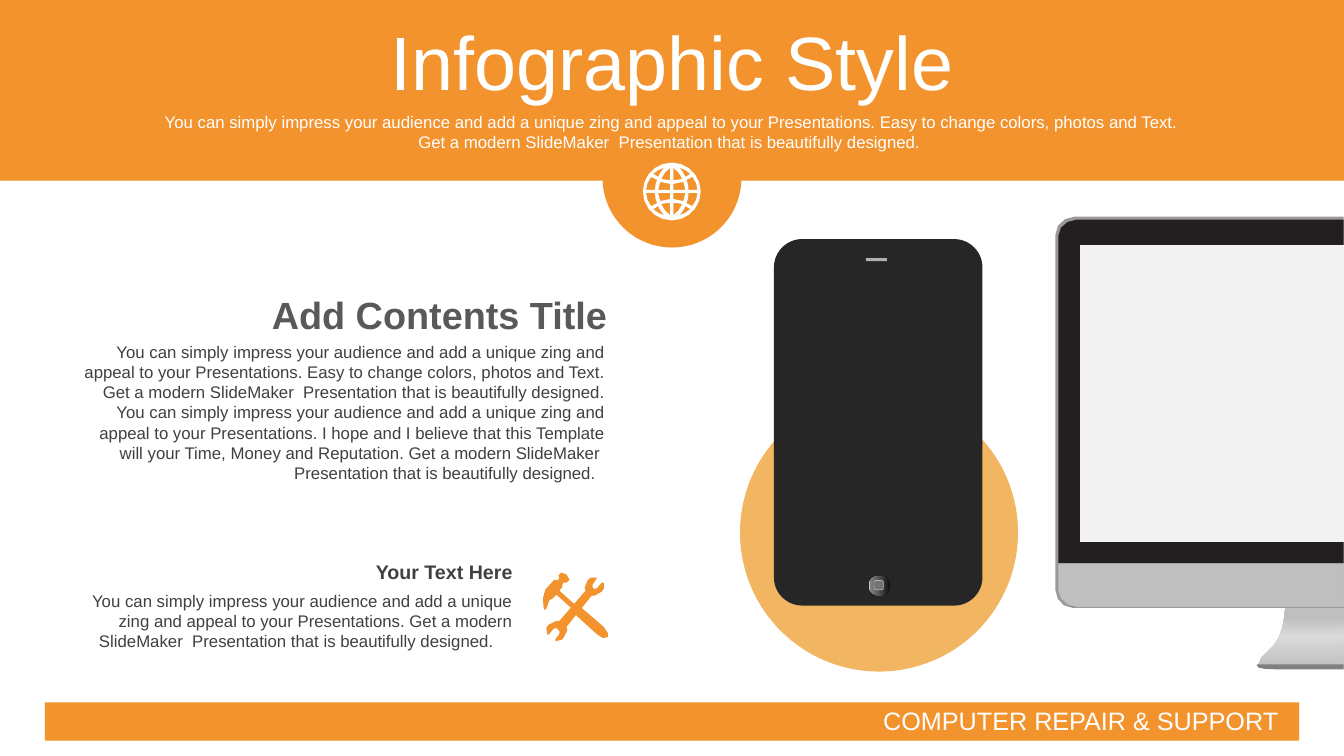
from math import ceil, dist

from lxml import etree
from pptx import Presentation
from pptx.dml.color import RGBColor
from pptx.enum.shapes import MSO_SHAPE
from pptx.enum.text import MSO_ANCHOR, MSO_AUTO_SIZE, PP_ALIGN
from pptx.oxml.ns import qn
from pptx.util import Pt

RECTANGLE = MSO_SHAPE.RECTANGLE
OVAL = MSO_SHAPE.OVAL
ROUNDED = MSO_SHAPE.ROUNDED_RECTANGLE
LEFT, CENTER, RIGHT = PP_ALIGN.LEFT, PP_ALIGN.CENTER, PP_ALIGN.RIGHT
TOP, MIDDLE = MSO_ANCHOR.TOP, MSO_ANCHOR.MIDDLE

FONT = "Arial"
ORANGE, WHITE, DARK = "F3932D", "FFFFFF", "404040"
PATH_UNIT = 0.72
CURVE_STEP = 9

TITLE = "Infographic Style"
IMPRESS = ("You can simply impress your audience and add a unique zing "
           "and appeal to your Presentations.")
EASY = "Easy to change colors, photos and Text."
MODERN = "Get a modern SlideMaker  Presentation that is beautifully designed."
HOPE = ("I hope and I believe that this Template will your Time, "
        "Money and Reputation.")

TEXTS = [
    ("COMPUTER REPAIR & SUPPORT", (623.8, 500.4, 304.6, 28.8), 18, WHITE, False, LEFT, MIDDLE),
    (" ".join([IMPRESS, EASY, MODERN, IMPRESS, HOPE, MODERN]) + "  ",
     (52, 240.5, 387.4, 108.7), 12, DARK, False, RIGHT, TOP),
    ("Add Contents Title", (52, 204.5, 388.8, 40.3), 27, "595959", True, RIGHT, TOP),
    (" ".join([IMPRESS, MODERN]) + "    ", (52, 418.3, 321.3, 51.1), 12, DARK, False, RIGHT, TOP),
    ("Your Text Here", (52, 396.5, 321.3, 24.5), 14, DARK, True, RIGHT, TOP),
    (" ".join([IMPRESS, EASY, MODERN]) + " ", (108, 76.3, 743.8, 36), 12, WHITE, False, CENTER, TOP),
]

NECK_STOPS = [(0, "BFBFBF"), (53, "D9D9D9"), (83, "BFBFBF"), (100, "BFBFBF")]
BUTTON_STOPS = [(0, "0F0F0F"), (56, "595959"), (91, "808080"), (100, "BFBFBF")]

MONITOR = [
    ([(1275, 602), (1333, 602), (1333, 664), (1265, 664),
      (1233, 664, 1251, 654, 1263, 641), (1275, 629, 1275, 602, 1275, 602)], (NECK_STOPS, 270)),
    ([(1066, 215), (1333, 215), (1333, 603), (1064, 603),
      (1055, 603, 1047, 595, 1047, 585), (1047, 233),
      (1047, 223, 1056, 215, 1066, 215)], "999999"),
    ([(1068, 218), (1333, 218), (1333, 559), (1050, 559), (1050, 234),
      (1050, 225, 1059, 218, 1068, 218)], "231F20"),
    ([(1247, 659), (1333, 659), (1333, 664), (1266, 664),
      (1252, 664, 1247, 663, 1247, 660)], "808080"),
    ([(1050, 559), (1333, 559), (1333, 602), (1068, 602),
      (1059, 602, 1050, 594, 1050, 586)], "BFBFBF"),
    ([(1071, 243), (1333, 243), (1333, 538), (1071, 538)], "F2F2F2"),
]

SHAPES = [
    (RECTANGLE, (0, 0, 960, 129), ORANGE),
    (OVAL, (430.4, 77.6, 99.2, 99.2), ORANGE),
    (OVAL, (528.6, 281.1, 198.6, 198.6), "F2B662"),
    (ROUNDED, (552.8, 170.8, 149, 261.8), "262626"),
    (RECTANGLE, (618.5, 184.4, 15.1, 2.2), "B0B0B0"),
    (OVAL, (620.6, 411.1, 15.1, 14.4), (BUTTON_STOPS, 180)),
    (ROUNDED, (624.4, 414.7, 6.5, 6.5), "737373"),
    (RECTANGLE, (32, 501.7, 896, 27.4), ORANGE),
]
PHONE, BUTTON_MARK = 3, 6

GLOBE_CENTER = (666.5, 190)
GLOBE_RADIUS = 28.7
GLOBE_QUARTER = [
    [(13.5, 14.5), (12.5, 17.5, 9.5, 21.5, 7.5, 23.5),
     (11.5, 22.5, 15.5, 20.5, 18.5, 17.5), (16.5, 15.5, 15.5, 14.5, 13.5, 14.5)],
    [(1.5, 11.5), (1.5, 23.5), (5.5, 20.5, 8.5, 17.5, 10.5, 12.5),
     (7.5, 11.5, 4.5, 11.5, 1.5, 11.5)],
    [(16.5, 1.5), (16.5, 4.5, 16.5, 8.5, 14.5, 11.5),
     (16.5, 12.5, 18.5, 13.5, 20.5, 14.5), (23.5, 10.5, 25.5, 6.5, 25.5, 1.5)],
    [(1.5, 1.5), (1.5, 7.5), (4.5, 8.5, 8.5, 8.5, 11.5, 9.5),
     (12.5, 7.5, 12.5, 4.5, 13.5, 1.5)],
]

WRENCH = [
    (563, 625), (562, 622), (587, 591), (590, 591), (593, 592, 595, 590, 597, 587),
    (599, 584), (600, 582, 600, 579, 599, 578), (597, 578), (592, 584), (589, 584),
    (588, 583), (587, 582, 587, 581, 588, 580), (592, 574), (592, 573),
    (591, 571, 588, 571, 586, 573), (583, 576), (581, 578, 580, 581, 580, 583),
    (581, 586), (555, 616), (552, 616), (549, 616, 546, 618, 544, 620), (542, 623),
    (541, 625, 541, 628, 543, 630), (545, 629), (549, 624), (552, 623), (555, 626),
    (556, 627, 556, 628, 555, 629), (551, 634), (551, 636),
    (552, 638, 555, 637, 557, 635), (559, 633), (562, 631, 563, 628, 563, 625),
]
HAMMER = [
    (541, 585), (550, 575), (553, 576), (555, 574), (554, 571), (557, 568),
    (557, 567, 559, 568, 562, 570), (565, 573, 566, 574, 565, 575), (562, 578),
    (559, 578), (558, 580), (558, 582), (555, 586), (574, 603), (577, 603),
    (599, 622), (601, 623, 602, 626, 603, 628), (603, 632), (598, 633),
    (596, 633, 593, 631, 592, 629), (571, 610), (571, 607), (552, 590), (549, 593),
    (545, 595, 544, 596, 543, 601), (542, 604), (540, 605),
    (539, 601), (538, 594, 539, 591, 541, 585),
]


def color(value):
    return RGBColor.from_string(value)


def paint(shape, fill):
    shape.shadow.inherit = False
    shape.line.fill.background()
    if isinstance(fill, str):
        shape.fill.solid()
        shape.fill.fore_color.rgb = color(fill)
        return
    stops, angle = fill
    shape.fill.gradient()
    gradient = shape.element.spPr.find(qn("a:gradFill"))
    stop_list = gradient.find(qn("a:gsLst"))
    for stop in list(stop_list):
        stop_list.remove(stop)
    for position, value in stops:
        stop = etree.SubElement(stop_list, qn("a:gs"), pos=str(position * 1000))
        etree.SubElement(stop, qn("a:srgbClr"), val=value)
    gradient.find(qn("a:lin")).set("ang", str(angle * 60000))


def flatten(path):
    points = [path[0]]
    for segment in path[1:]:
        if len(segment) == 2:
            points.append(segment)
            continue
        controls = [points[-1], segment[:2], segment[2:4], segment[4:]]
        steps = ceil(dist(controls[0], controls[3]) / CURVE_STEP)
        for step in range(1, steps + 1):
            t = step / steps
            weights = ((1 - t) ** 3, 3 * t * (1 - t) ** 2, 3 * t * t * (1 - t), t ** 3)
            points.append(tuple(sum(weight * point[axis] for weight, point in zip(weights, controls))
                                for axis in (0, 1)))
    return points


def add_outline(slide, paths, fill):
    contours = [[(Pt(x * PATH_UNIT), Pt(y * PATH_UNIT)) for x, y in flatten(path)] for path in paths]
    builder = slide.shapes.build_freeform(*contours[0][0])
    builder.add_line_segments(contours[0][1:], close=True)
    for contour in contours[1:]:
        builder.move_to(*contour[0])
        builder.add_line_segments(contour[1:], close=True)
    paint(builder.convert_to_shape(), fill)


def place(path, flip_x, flip_y):
    center_x, center_y = GLOBE_CENTER
    return [tuple(center_y + flip_y * value if index % 2 else center_x + flip_x * value
                  for index, value in enumerate(segment)) for segment in path]


def globe_paths():
    r, k = GLOBE_RADIUS, GLOBE_RADIUS * 0.55
    rim = [(r, 0), (r, k, k, r, 0, r), (-k, r, -r, k, -r, 0),
           (-r, -k, -k, -r, 0, -r), (k, -r, r, -k, r, 0)]
    return [place(rim, 1, 1)] + [place(cell, flip_x, flip_y) for flip_x in (1, -1)
                                 for flip_y in (1, -1) for cell in GLOBE_QUARTER]


def write(shape, text, size, value, bold, alignment, anchor):
    frame = shape.text_frame
    frame.text = text
    frame.word_wrap = True
    frame.auto_size = MSO_AUTO_SIZE.NONE
    frame.vertical_anchor = anchor
    paragraph = frame.paragraphs[0]
    paragraph.alignment = alignment
    font = paragraph.runs[0].font
    font.name, font.size, font.bold = FONT, Pt(size), bold
    font.color.rgb = color(value)
    return paragraph


def main():
    presentation = Presentation()
    presentation.slide_width, presentation.slide_height = Pt(960), Pt(540)
    slide = presentation.slides.add_slide(presentation.slide_layouts[5])
    for path, fill in MONITOR:
        add_outline(slide, [path], fill)

    shapes = []
    for kind, box, fill in SHAPES:
        shape = slide.shapes.add_shape(kind, *map(Pt, box))
        paint(shape, fill)
        shapes.append(shape)
    shapes[PHONE].adjustments[0] = 0.136
    shapes[BUTTON_MARK].line.color.rgb = color("B0B0B0")
    shapes[BUTTON_MARK].line.width = Pt(0.5)

    title = slide.shapes.title
    title.left, title.top, title.width, title.height = Pt(0), Pt(18.7), Pt(960), Pt(56.9)
    paragraph = write(title, TITLE, 54, WHITE, False, CENTER, MIDDLE)
    paragraph.line_spacing = 0.9
    paragraph.space_before = Pt(10)
    slide.shapes.element.append(title.element)

    for text, box, *style in TEXTS:
        write(slide.shapes.add_textbox(*map(Pt, box)), text, *style)

    add_outline(slide, globe_paths(), WHITE)
    for tool in (WRENCH, HAMMER):
        add_outline(slide, [tool], ORANGE)
    presentation.save("out.pptx")


if __name__ == "__main__":
    main()
